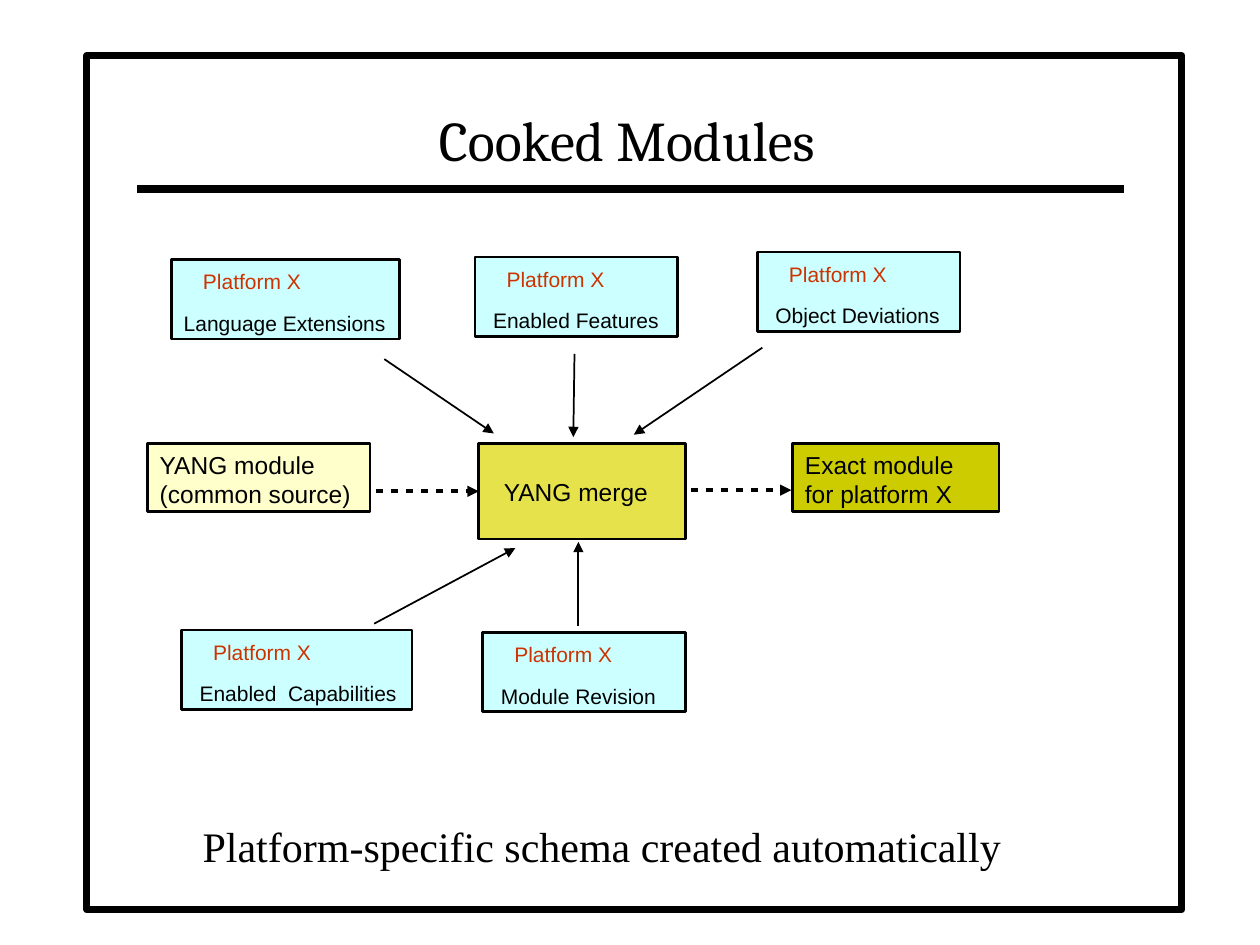
from lxml import etree
from pptx import Presentation
from pptx import util as u
from pptx.dml import color
from pptx.enum import shapes, text
from pptx.oxml import ns

Pt = u.Pt
COLORS = {
    "ink": "000000", "paper": "FFFFFF", "accent": "CC3300", "input": "CCFFFF",
    "source": "FFFFCC", "merge": "E6E24C", "result": "CCCC00",
}


def rgb(name):
    return color.RGBColor.from_string(COLORS[name])


def write(paragraph, wording, size=14, font="Arial", ink="ink", indent=0, before=0, align=text.PP_ALIGN.LEFT):
    paragraph.text = wording
    paragraph.alignment = align
    if indent:
        paragraph._p.get_or_add_pPr().set("marL", str(Pt(indent)))
    if before:
        paragraph.space_before = Pt(before)
    for run in paragraph.runs:
        run.font.size = Pt(size)
        run.font.name = font
        run.font.color.rgb = rgb(ink)


prs = Presentation()
prs.slide_width, prs.slide_height = Pt(720), Pt(540)
slide = prs.slides.add_slide(prs.slide_layouts[5])

frame = slide.shapes.add_shape(shapes.MSO_SHAPE.RECTANGLE, Pt(49.7), Pt(31.7), Pt(625.7), Pt(488.2))
frame.shadow.inherit = False
frame.fill.solid()
frame.fill.fore_color.rgb = rgb("paper")
frame.line.color.rgb = rgb("ink")
frame.line.width = Pt(4)

title = slide.shapes.title
title.left, title.top, title.width, title.height = Pt(77.8), Pt(28.8), Pt(560.9), Pt(73.4)
title.text_frame.vertical_anchor = text.MSO_ANCHOR.BOTTOM
write(title.text_frame.paragraphs[0], "Cooked Modules", size=32, font="Cambria", align=text.PP_ALIGN.CENTER)
frame.element.addnext(title.element)

boxes = [
    ("input", 97.9, 148.3, 130.3, 45.4, "Language Extensions", 0),
    ("input", 271.4, 146.9, 115.9, 45.4, "Enabled Features", 3.3),
    ("input", 432.7, 144, 115.9, 45.4, "Object Deviations", 3.3),
    ("input", 103.7, 360, 131.8, 45.4, "Enabled  Capabilities", 3.3),
    ("input", 275.8, 361.4, 115.9, 45.4, "Module Revision", 3.3),
    ("source", 84.2, 253.4, 127.4, 38.9, "YANG module\v(common source)", 0),
    ("merge", 273.6, 253.4, 118.1, 54.7, "YANG merge", 7.2),
    ("result", 452.9, 253.4, 118.1, 38.9, "Exact module\vfor platform X", 0),
]
drawn = {}
for role, left, top, width, height, wording, indent in boxes:
    box = slide.shapes.add_shape(shapes.MSO_SHAPE.RECTANGLE, Pt(left), Pt(top), Pt(width), Pt(height))
    box.shadow.inherit = False
    box.fill.solid()
    box.fill.fore_color.rgb = rgb(role)
    box.line.color.rgb = rgb("ink")
    box.line.width = Pt(1.5)
    body = box.text_frame
    body.word_wrap = True
    body.vertical_anchor = text.MSO_ANCHOR.MIDDLE if role == "merge" else text.MSO_ANCHOR.TOP
    if role == "input":
        body.margin_top = Pt(5.4)
        write(body.paragraphs[0], "Platform X", size=12, ink="accent", indent=11)
        write(body.add_paragraph(), wording, size=12, indent=indent, before=9.2)
    else:
        write(body.paragraphs[0], wording, indent=indent)
    drawn[role] = box

rule = (78.5, 108, 642.2, 108, 4.5, False)
flows = [
    (219.6, 205.2, 282.2, 247.7, 1, False),
    (328.3, 202.3, 327.6, 249.8, 1, False),
    (435.6, 198.7, 362.2, 248.4, 1, False),
    (213.8, 356.4, 294.5, 313.2, 1, False),
    (330.5, 357.8, 330.5, 309.6, 1, False),
    (394.6, 280.1, 452.2, 280.1, 2.15, True),
    (214.6, 280.75, 273.6, 280.75, 2.15, True),
]
for stroke in [rule] + flows:
    x1, y1, x2, y2, weight, dashed = stroke
    connector = slide.shapes.add_connector(shapes.MSO_CONNECTOR.STRAIGHT, Pt(x1), Pt(y1), Pt(x2), Pt(y2))
    connector.line.color.rgb = rgb("ink")
    connector.line.width = Pt(weight)
    ln = connector.line._get_or_add_ln()
    if dashed:
        dashes = etree.SubElement(ln, ns.qn("a:custDash"))
        etree.SubElement(dashes, ns.qn("a:ds"), d="200000", sp="200000")
    if stroke is not rule:
        etree.SubElement(ln, ns.qn("a:tailEnd"), type="triangle")
    etree.SubElement(connector.element.spPr, ns.qn("a:effectLst"))
connector.end_connect(drawn["merge"], 1)

caption = slide.shapes.add_textbox(Pt(108.7), Pt(465.1), Pt(472.3), Pt(33.8))
caption.text_frame.word_wrap = False
write(caption.text_frame.paragraphs[0], "Platform-specific schema created automatically",
      size=24, font="Times New Roman")

prs.save("out.pptx")
